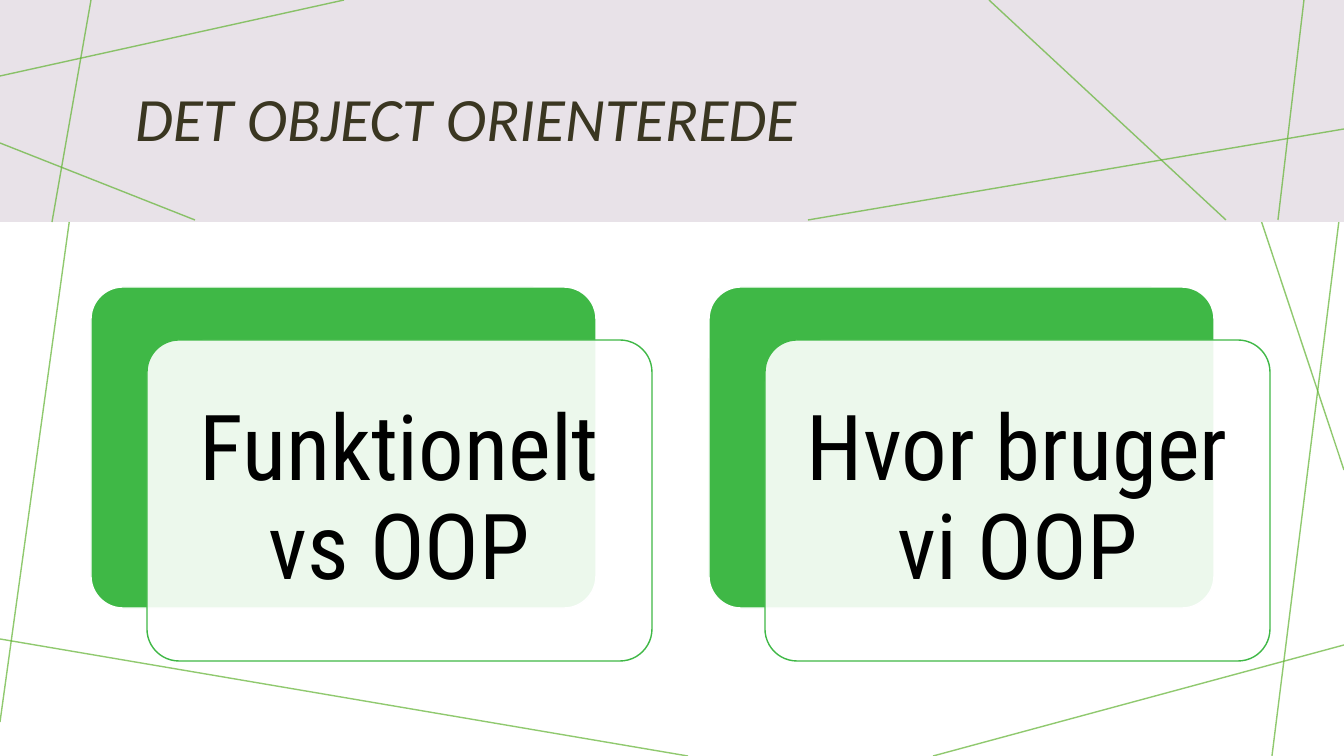
from lxml import etree
from pptx import Presentation
from pptx.dml.color import RGBColor
from pptx.enum.shapes import MSO_CONNECTOR, MSO_SHAPE
from pptx.enum.text import MSO_ANCHOR, MSO_AUTO_SIZE, PP_ALIGN
from pptx.oxml.ns import qn
from pptx.util import Pt

STRAIGHT = MSO_CONNECTOR.STRAIGHT
RECTANGLE, ROUNDED = MSO_SHAPE.RECTANGLE, MSO_SHAPE.ROUNDED_RECTANGLE
MIDDLE, NO_FIT = MSO_ANCHOR.MIDDLE, MSO_AUTO_SIZE.NONE
LEFT, CENTER = PP_ALIGN.LEFT, PP_ALIGN.CENTER

EMU_PER_PX = 914400 / 100.8
WIDTH, HEIGHT, BAND_HEIGHT = 1344, 756, 222
COLORS = {
    "white": "FFFFFF", "band": "E8E2E8", "rule": "61B332",
    "card": "3FB846", "title": "3A3621", "text": "000000",
}
TITLE_FONT = {"name": "Calibri", "size": Pt(44), "italic": True, "bold": False}
CARD_FONT = {"name": "Roboto Condensed", "size": Pt(65)}

# Line ends as x1, y1, x2, y2
BODY_LINES = [
    (100, 0, 0, 722), (688, 756, 0, 639), (1344, 645, 933, 756),
    (1344, 181, 1272, 756), (1344, 470, 1188, 0),
]
BAND_LINES = [
    (344, 0, 0, 76), (91, 0, 52, 222), (195, 220, 0, 143),
    (1344, 129, 808, 220), (1226, 220, 989, 0), (1304, 0, 1278, 220),
]
CARD_TEXTS = ["Funktionelt vs OOP", "Hvor bruger vi OOP"]


def px(value):
    return round(value * EMU_PER_PX)


def color(name):
    return RGBColor.from_string(COLORS[name])


def set_alpha(fill_owner, percent):
    solid = next(fill_owner.iter(qn("a:solidFill")))
    etree.SubElement(solid[0], qn("a:alpha"), val=str(percent * 1000))


def add_box(slide, kind, box, fill, line=None):
    shape = slide.shapes.add_shape(kind, *map(px, box))
    shape.shadow.inherit = False
    shape.fill.solid()
    shape.fill.fore_color.rgb = color(fill)
    if line:
        shape.line.color.rgb = color(line)
        shape.line.width = Pt(1)
    else:
        shape.line.fill.background()
    return shape


def write_text(shape, text, align, color_name, font_values):
    frame = shape.text_frame
    frame.word_wrap = True
    frame.auto_size = NO_FIT
    frame.vertical_anchor = MIDDLE
    frame.text = text
    paragraph = frame.paragraphs[0]
    paragraph.alignment = align
    paragraph.line_spacing = 0.9
    font = paragraph.runs[0].font
    font.color.rgb = color(color_name)
    for name, value in font_values.items():
        setattr(font, name, value)


def add_lines(slide, lines, left, top):
    for x1, y1, x2, y2 in lines:
        ends = (left + x1, top + y1, left + x2, top + y2)
        connector = slide.shapes.add_connector(STRAIGHT, *map(px, ends))
        connector.line.color.rgb = color("rule")
        connector.line.width = Pt(1)
        properties = connector._element.spPr
        set_alpha(properties, 70)
        etree.SubElement(properties, qn("a:effectLst"))


def add_title_band(slide, left, top, width, height):
    add_box(slide, RECTANGLE, (left, top, width, height), "band")
    add_lines(slide, BAND_LINES, left, top)
    # Title in front of the band
    title = slide.shapes.title
    slide.shapes._spTree.append(title._element)
    title.left, title.top = px(left + 125), px(top + 54)
    title.width, title.height = px(1110), px(135)
    write_text(title, "DET OBJECT ORIENTEREDE", LEFT, "title", TITLE_FONT)


def add_card(slide, text, left, top, width, height):
    back = add_box(slide, ROUNDED, (left, top, width, height), "card", "white")
    front = add_box(slide, ROUNDED, (left + 56, top + 53, width, height),
                    "white", "card")
    set_alpha(front._element.spPr, 90)
    for shape in (back, front):
        shape.adjustments[0] = 0.1
    for side in ("left", "top", "right", "bottom"):
        setattr(front.text_frame, f"margin_{side}", px(27))
    write_text(front, text, CENTER, "text", CARD_FONT)


def add_cards(slide, left, top, pitch):
    for index, text in enumerate(CARD_TEXTS):
        add_card(slide, text, left + index * pitch, top, 505, 321)


def main():
    presentation = Presentation()
    presentation.slide_width, presentation.slide_height = px(WIDTH), px(HEIGHT)
    slide = presentation.slides.add_slide(presentation.slide_layouts[5])
    # Background lines, title band, cards
    add_lines(slide, BODY_LINES, 0, 0)
    add_title_band(slide, 0, 0, WIDTH, BAND_HEIGHT)
    add_cards(slide, 91, 287, 618)
    presentation.save("out.pptx")


if __name__ == "__main__":
    main()
